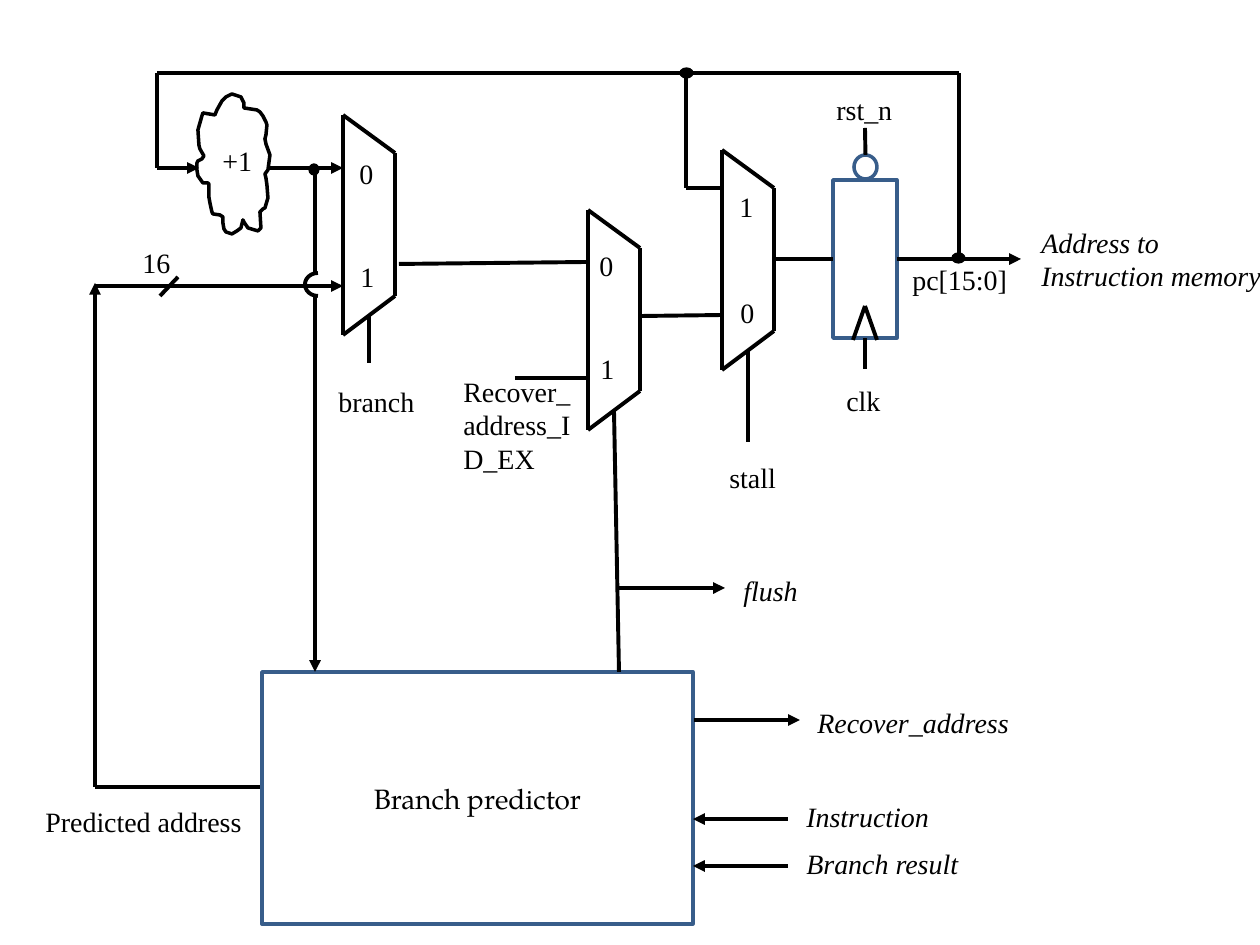
from lxml.etree import SubElement
from pptx import Presentation
from pptx.dml.color import RGBColor
from pptx.enum.shapes import MSO_CONNECTOR, MSO_SHAPE as Shape
from pptx.enum.text import MSO_ANCHOR, MSO_AUTO_SIZE, PP_ALIGN
from pptx.oxml.ns import qn
from pptx.util import Pt

PX = 914400 / 126
BLACK = RGBColor(0x00, 0x00, 0x00)
BLUE = RGBColor(0x38, 0x5D, 0x8A)
SERIF = "Times New Roman"
PREDICTOR_FONT = "TeX Gyre Pagella"

REGISTER = (833, 180, 64, 158)
RESET_BUBBLE = (854, 155, 23, 24)
PREDICTOR = (262, 672, 431, 252)
WIRE_HOP = (305, 273, 26, 23)

MUXES = [
    ((343, 115), (369, 363)),
    ((588, 210), (619, 672)),
    ((722, 150), (748, 442)),
]

CLOUD = [
    (204, 156), (200, 149), (199, 145), (198, 130), (202, 116), (203, 113),
    (215, 115), (217, 110), (222, 101), (226, 97), (232, 94), (241, 97),
    (244, 103), (244, 108), (257, 110), (260, 112), (263, 116), (266, 122),
    (267, 125), (266, 135), (265, 139), (266, 144), (270, 155), (268, 170),
    (265, 174), (266, 178), (267, 185), (268, 198), (265, 208), (263, 209),
    (260, 212), (261, 228), (258, 231), (248, 228), (244, 222), (243, 220),
    (241, 228), (237, 231), (232, 234), (226, 232), (224, 229), (223, 223),
    (223, 217), (220, 215), (213, 214), (212, 212), (210, 203), (209, 197),
    (209, 184), (208, 183), (203, 183), (198, 176), (197, 170), (197, 163),
    (198, 161), (202, 159),
]

WIRES = [
    [(865, 306), (853, 340)],
    [(865, 306), (877, 340)],
    [(959, 256), (959, 73), (686, 73), (686, 188), (722, 188)],
    [(680, 73), (157, 73), (157, 168)],
    [(641, 316), (722, 315)],
    [(399, 264), (588, 262)],
    [(515, 378), (588, 378)],
    [(178, 277), (160, 296)],
    [(95, 787), (260, 787)],
    [(315, 168), (315, 273)],
]

ARROWS = [
    [(157, 168), (199, 168)],
    [(269, 168), (343, 168)],
    [(95, 286), (343, 286)],
    [(95, 787), (95, 283)],
    [(315, 294), (315, 672)],
    [(619, 588), (725, 588)],
    [(694, 720), (800, 720)],
    [(788, 819), (693, 819)],
    [(788, 866), (693, 866)],
]

DOTS = [(680, 68, 13, 10), (952, 253, 13, 10), (309, 164, 10, 11)]

LABELS = [
    (["rst_n"], 824, 86, 83),
    (["pc[15:0]"], 900, 256, 122),
    (["clk"], 834, 377, 61),
    (["+1"], 210, 137, 58),
    (["Predicted address"], 33, 798, 224),
    (["16"], 130, 239, 55),
    (["1"], 727, 183, 41),
    (["0"], 728, 289, 41),
    (["0"], 347, 150, 41),
    (["1"], 348, 253, 41),
    (["0"], 587, 242, 41),
    (["1"], 588, 345, 41),
    (["branch"], 326, 378, 103),
    (["stall"], 717, 454, 74),
]
WRAPPED_LABELS = [(["Recover_address_ID_EX"], 451, 368, 136, 113)]
SIGNAL_LABELS = [
    (["Address to", "Instruction memory"], 1029, 219, 250, 81),
    (["flush"], 731, 567, 83),
    (["Recover_address"], 805, 699, 219),
    (["Instruction"], 794, 793, 151),
    (["Branch result"], 794, 840, 180),
]


def emu(*lengths):
    return [round(length * PX) for length in lengths]


def add_wire(shapes, start, end, arrow=False):
    wire = shapes.add_connector(MSO_CONNECTOR.STRAIGHT, *emu(*start, *end))
    wire.line.color.rgb = BLACK
    wire.line.width = Pt(2.25)
    if arrow:
        SubElement(wire.line._get_or_add_ln(), qn("a:tailEnd"), type="triangle")
    SubElement(wire._element.spPr, qn("a:effectLst"))
    return wire


def style(shape, color, width=2):
    shape.shadow.inherit = False
    shape.fill.background()
    shape.line.color.rgb = color
    shape.line.width = Pt(width)
    return shape


def add_outline(kind, bounds, color=BLUE, width=2):
    return style(page.shapes.add_shape(kind, *emu(*bounds)), color, width)


def write(para, text, font=SERIF, italic=False):
    span = para.add_run()
    span.text = text
    span.font.name = font
    span.font.size = Pt(16)
    span.font.italic = italic
    span.font.color.rgb = BLACK


def add_label(lines, left, top, width, height=47, italic=False, wrap=False):
    box = page.shapes.add_textbox(*emu(left, top, width, height))
    frame = box.text_frame
    frame.word_wrap = wrap
    frame.auto_size = MSO_AUTO_SIZE.SHAPE_TO_FIT_TEXT
    for index, line in enumerate(lines):
        para = frame.add_paragraph() if index else frame.paragraphs[0]
        write(para, line, italic=italic)


def add_mux(corner, select_end):
    x, y = corner
    outline = [(x, y), (x + 52, y + 38), (x + 52, y + 181), (x, y + 220)]
    group = page.shapes.add_group_shape()
    for start, end in zip(outline, outline[1:] + outline[:1]):
        add_wire(group.shapes, start, end)
    add_wire(group.shapes, (x + 26, y + 200), select_end)


deck = Presentation()
deck.slide_width, deck.slide_height = emu(1260, 945)
page = deck.slides.add_slide(deck.slide_layouts[6])

register = add_outline(Shape.RECTANGLE, REGISTER)
bubble = add_outline(Shape.OVAL, RESET_BUBBLE)
predictor = add_outline(Shape.RECTANGLE, PREDICTOR)
predictor.text_frame.vertical_anchor = MSO_ANCHOR.MIDDLE
title = predictor.text_frame.paragraphs[0]
title.alignment = PP_ALIGN.CENTER
write(title, "Branch predictor", PREDICTOR_FONT)

cloud = page.shapes.build_freeform(*CLOUD[0], scale=PX)
cloud.add_line_segments(CLOUD[1:], close=True)
style(cloud.convert_to_shape(), BLACK)

for mux in MUXES:
    add_mux(*mux)

for route in WIRES:
    for start, end in zip(route, route[1:]):
        add_wire(page.shapes, start, end)
for start, end in ARROWS:
    add_wire(page.shapes, start, end, arrow=True)

add_wire(page.shapes, (897, 259), (1021, 259), arrow=True).begin_connect(register, 3)
add_wire(page.shapes, (774, 259), (833, 259)).end_connect(register, 1)
add_wire(page.shapes, (865, 369), (865, 338)).end_connect(register, 2)
add_wire(page.shapes, (865, 128), (865, 155)).end_connect(bubble, 0)

hop = add_outline(Shape.ARC, WIRE_HOP, BLACK, 2.25)
hop.adjustments[0], hop.adjustments[1] = 54, 162

for bounds in DOTS:
    dot = add_outline(Shape.OVAL, bounds, BLACK, 0.75)
    dot.fill.solid()
    dot.fill.fore_color.rgb = BLACK

for label in LABELS:
    add_label(*label)
for label in WRAPPED_LABELS:
    add_label(*label, wrap=True)
for label in SIGNAL_LABELS:
    add_label(*label, italic=True)

deck.save("out.pptx")
